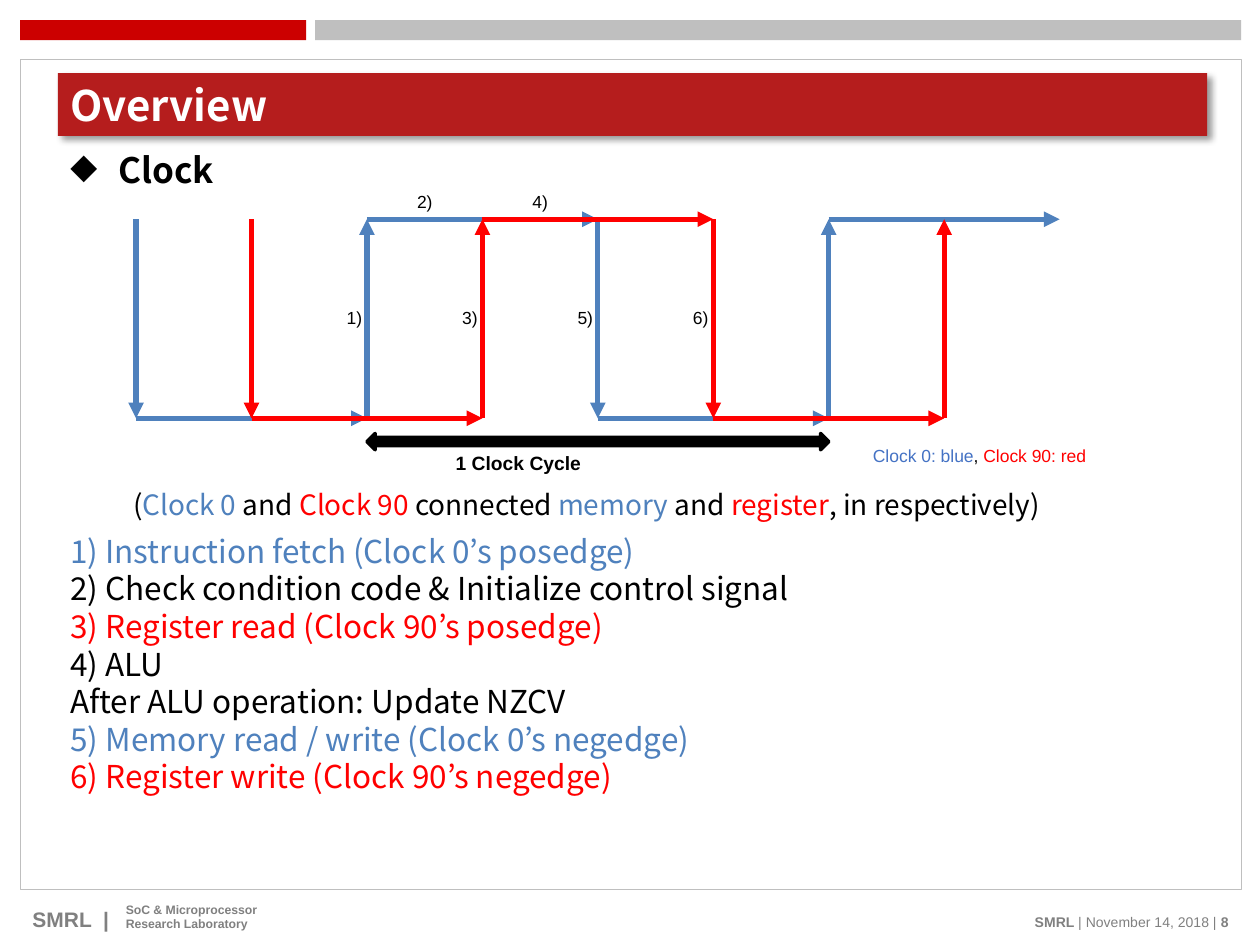
import pptx
import pptx.dml.color
import pptx.enum.shapes
import pptx.enum.text
import pptx.oxml
import pptx.oxml.ns
import pptx.util

WIDTH, HEIGHT = 10, 7.5
SANS, CJK = "Arial", "Noto Sans CJK KR"
BLUE, RED, BLACK, GRAY = "4F81BD", "FF0000", "000000", "808080"
ANCHOR = pptx.enum.text.MSO_ANCHOR
ALIGN = pptx.enum.text.PP_ALIGN
SHAPE = pptx.enum.shapes.MSO_SHAPE
NAMESPACE = pptx.oxml.ns.nsdecls("a")


def color(value):
    """Turn a hex string into a colour."""
    return pptx.dml.color.RGBColor.from_string(value)


def inches(*lengths):
    """Turn lengths in inches into slide units."""
    return [pptx.util.Inches(length) for length in lengths]


def element(xml):
    """Parse one drawing element, adding its namespace."""
    name, rest = xml[:xml.index(" ")], xml[xml.index(" "):]
    return pptx.oxml.parse_xml(f"{name} {NAMESPACE}{rest}")


def add_block(slide, box, fill, line=None, line_width=1, kind=SHAPE.RECTANGLE):
    """Add a flat filled shape, outlined if a line colour is given."""
    shape = slide.shapes.add_shape(kind, *inches(*box))
    shape.shadow.inherit = False
    shape.fill.solid()
    shape.fill.fore_color.rgb = color(fill)
    if line:
        shape.line.color.rgb = color(line)
        shape.line.width = pptx.util.Pt(line_width)
    else:
        shape.line.fill.background()
    return shape


def write(shape, lines, size, font, bold=False, align=ALIGN.LEFT,
          anchor=ANCHOR.TOP, wrap=True, spacing=None, gap=0):
    """Fill a shape with lines, each a list of (text, colour[, bold]) runs."""
    frame = shape.text_frame
    frame.word_wrap = wrap
    frame.vertical_anchor = anchor
    for index, runs in enumerate(lines):
        paragraph = frame.add_paragraph() if index else frame.paragraphs[0]
        paragraph.alignment = align
        paragraph.line_spacing = spacing
        paragraph.space_before = pptx.util.Pt(gap if index else 0)
        for text, shade, *weight in runs:
            run = paragraph.add_run()
            run.text = text
            run.font.size = pptx.util.Pt(size)
            run.font.name = font
            run.font.bold = weight[0] if weight else bold
            run.font.color.rgb = color(shade)
            run._r.get_or_add_rPr().append(element(f'<a:ea typeface="{font}"/>'))


def add_text(slide, box, lines, size, font, **style):
    """Add a text box."""
    shape = slide.shapes.add_textbox(*inches(*box))
    write(shape, lines, size, font, **style)
    return shape


def add_arrow(slide, start, end, shade):
    """Add a straight arrow between two points."""
    connector = slide.shapes.add_connector(
        pptx.enum.shapes.MSO_CONNECTOR.STRAIGHT, *inches(*start, *end))
    connector.line.color.rgb = color(shade)
    connector.line.width = pptx.util.Pt(3)
    connector.line._get_or_add_ln().append(element('<a:tailEnd type="triangle"/>'))
    connector._element.spPr.append(element("<a:effectLst />"))


def add_frame(slide, box):
    """Draw the top bars and the bordered page area."""
    left, top, width, height = box
    bar, split = 0.16, 2.34
    add_block(slide, (left + split, top, width - split, bar), "BFBFBF")
    add_block(slide, (left, top, 2.27, bar), "CC0000")
    add_block(slide, (left, top + 0.31, width, height - 0.31), "FFFFFF", "BFBFBF", 0.25)


def add_footer(slide, box):
    """Write the laboratory name on the left and the date on the right."""
    left, top, width, height = box
    add_text(slide, (left + width - 3.27, top + 0.07, 3.27, 0.25),
             [[("SMRL ", GRAY, True), ("| November 14, 2018 | ", GRAY), ("8", GRAY, True)]],
             8, SANS, align=ALIGN.RIGHT, anchor=ANCHOR.MIDDLE)
    add_text(slide, (left, top + 0.02, 0.83, height), [[("SMRL  |", GRAY)]], 12, SANS,
             bold=True, anchor=ANCHOR.MIDDLE, wrap=False)
    add_text(slide, (left + 0.74, top, 1.73, height),
             [[("SoC & Microprocessor", GRAY)], [("Research Laboratory", GRAY)]],
             7, SANS, bold=True, anchor=ANCHOR.MIDDLE)


def add_title(slide, box):
    """Draw the title band with its soft shadow."""
    shape = add_block(slide, box, "B51D1D")
    properties = shape._element.spPr
    properties.remove(properties.find(pptx.oxml.ns.qn("a:effectLst")))
    properties.append(element(
        '<a:effectLst ><a:outerShdw blurRad="50800" dist="38100" dir="2700000" algn="tl">'
        '<a:srgbClr val="000000"><a:alpha val="40000"/></a:srgbClr>'
        '</a:outerShdw></a:effectLst>'))
    write(shape, [[("Overview", "FFFFFF")]], 24, CJK, bold=True, anchor=ANCHOR.MIDDLE)


def add_heading(slide, box):
    """Write the bulleted section heading."""
    shape = add_text(slide, box, [], 20, CJK)
    properties = shape.text_frame.paragraphs[0]._p.get_or_add_pPr()
    indent = pptx.util.Inches(0.38)
    properties.set("marL", str(indent))
    properties.set("indent", str(-indent))
    properties.append(element('<a:buChar char="◆"/>'))
    write(shape, [[("Clock", BLACK)]], 20, CJK, bold=True, spacing=0.9)


def add_waveforms(slide, box):
    """Draw both clocks on a grid of eight columns, with step numbers."""
    left, top, width, height = box
    column = width / 8
    levels = [top, top + height]
    for first, last, shade in ((0, 8, BLUE), (1, 7, RED)):
        points = [(left + first * column, top)]
        for step, position in enumerate(range(first, last + 1, 2)):
            level = levels[(step + 1) % 2]
            x = left + position * column
            points += [(x, levels[step % 2]), (x, level)]
        points = points[1:] if last == 7 else points[1:-1]
        for start, end in zip(points, points[1:]):
            add_arrow(slide, start, end, shade)
    middle = top + 0.49 * height
    marks = ((1, 2, middle), (2, 2.61, top - 0.14), (3, 3, middle),
             (4, 3.61, top - 0.14), (5, 4, middle), (6, 5, middle))
    for number, position, center in marks:
        add_text(slide, (left + position * column - 0.26, center - 0.13, 0.32, 0.26),
                 [[(f"{number})", BLACK)]], 10, SANS, wrap=False)
    add_block(slide, (left + 2 * column, top + height + 0.12, 4 * column, 0.13),
              BLACK, BLACK, 2, SHAPE.LEFT_RIGHT_ARROW)
    add_text(slide, (left + 4 * column - 1.71, top + height + 0.21, 1.2 + 0.96, 0.29),
             [[("1 Clock Cycle", BLACK)]], 11, SANS, bold=True, wrap=False,
             align=ALIGN.CENTER)
    add_text(slide, (left + 5.75, top + height + 0.16, 1.9, 0.26),
             [[("Clock 0: blue", "4472C4"), (", ", BLACK), ("Clock 90: red", RED)]],
             10, SANS, wrap=False)


def add_caption(slide, box):
    """Write which part each clock drives."""
    add_text(slide, box, [[
        ("(", BLACK), ("Clock 0 ", BLUE), ("and ", BLACK), ("Clock 90 ", RED),
        ("connected", BLACK), (" memory ", BLUE), ("and ", BLACK), ("register", RED),
        (", in respectively)", BLACK)]], 16, CJK, align=ALIGN.CENTER)


def add_steps(slide, box):
    """List the steps of one clock cycle."""
    steps = (("1) Instruction fetch (Clock 0’s posedge)", BLUE),
             ("2) Check condition code & Initialize control signal", BLACK),
             ("3) Register read (Clock 90’s posedge)", RED),
             ("4) ALU", BLACK),
             ("After ALU operation: Update NZCV", BLACK),
             ("5) Memory read / write (Clock 0’s negedge)", BLUE),
             ("6) Register write (Clock 90’s negedge)", RED))
    add_text(slide, box, [[step] for step in steps], 18, CJK, spacing=0.8, gap=4.2)


def main():
    """Build the slide."""
    presentation = pptx.Presentation()
    presentation.slide_width, presentation.slide_height = inches(WIDTH, HEIGHT)
    slide = presentation.slides.add_slide(presentation.slide_layouts[6])
    add_frame(slide, (0.16, 0.16, 9.69, 6.9))
    add_footer(slide, (0.16, 7.12, 9.69, 0.31))
    add_steps(slide, (0.46, 4.23, 9.29, 1.17))
    add_title(slide, (0.46, 0.58, 9.12, 0.5))
    add_heading(slide, (0.46, 1.17, 9.29, 0.5))
    add_waveforms(slide, (1.08, 1.74, 7.33, 1.58))
    add_caption(slide, (0.68, 3.82, 7.95, 0.4))
    presentation.save("out.pptx")


if __name__ == "__main__":
    main()
